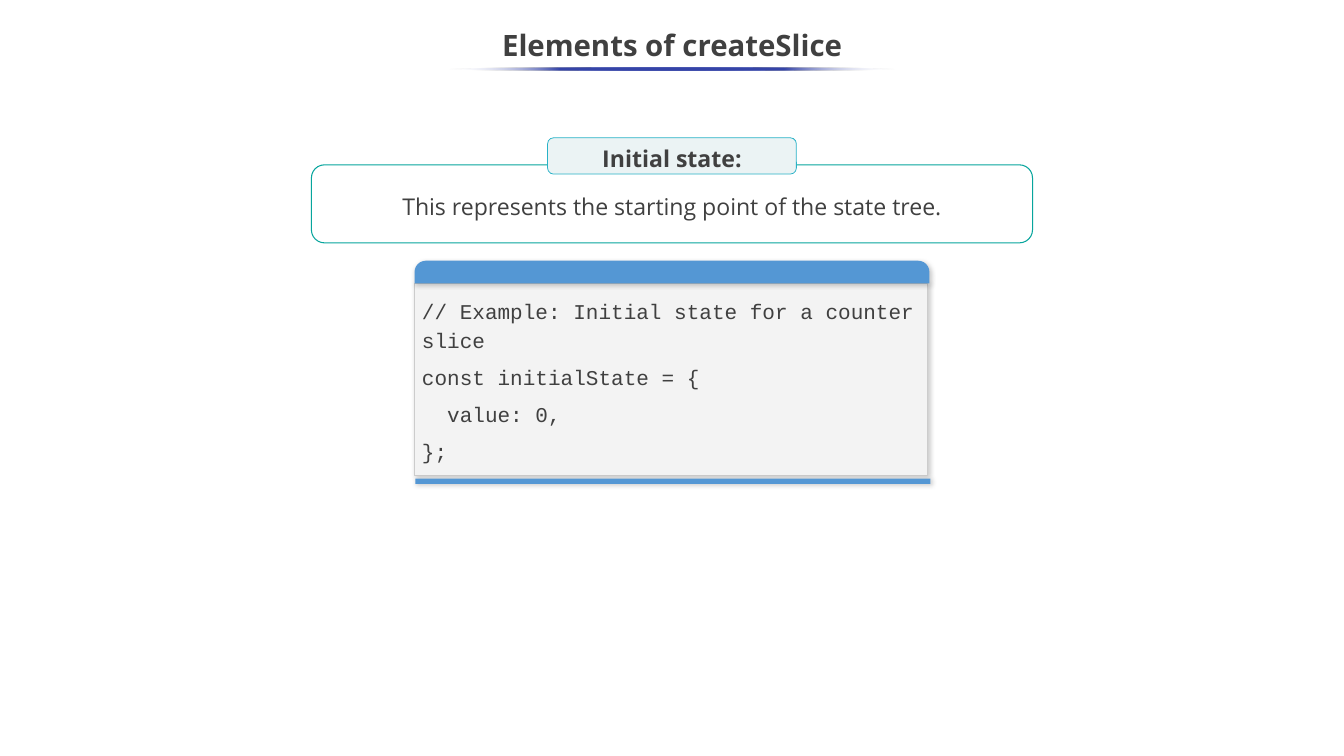
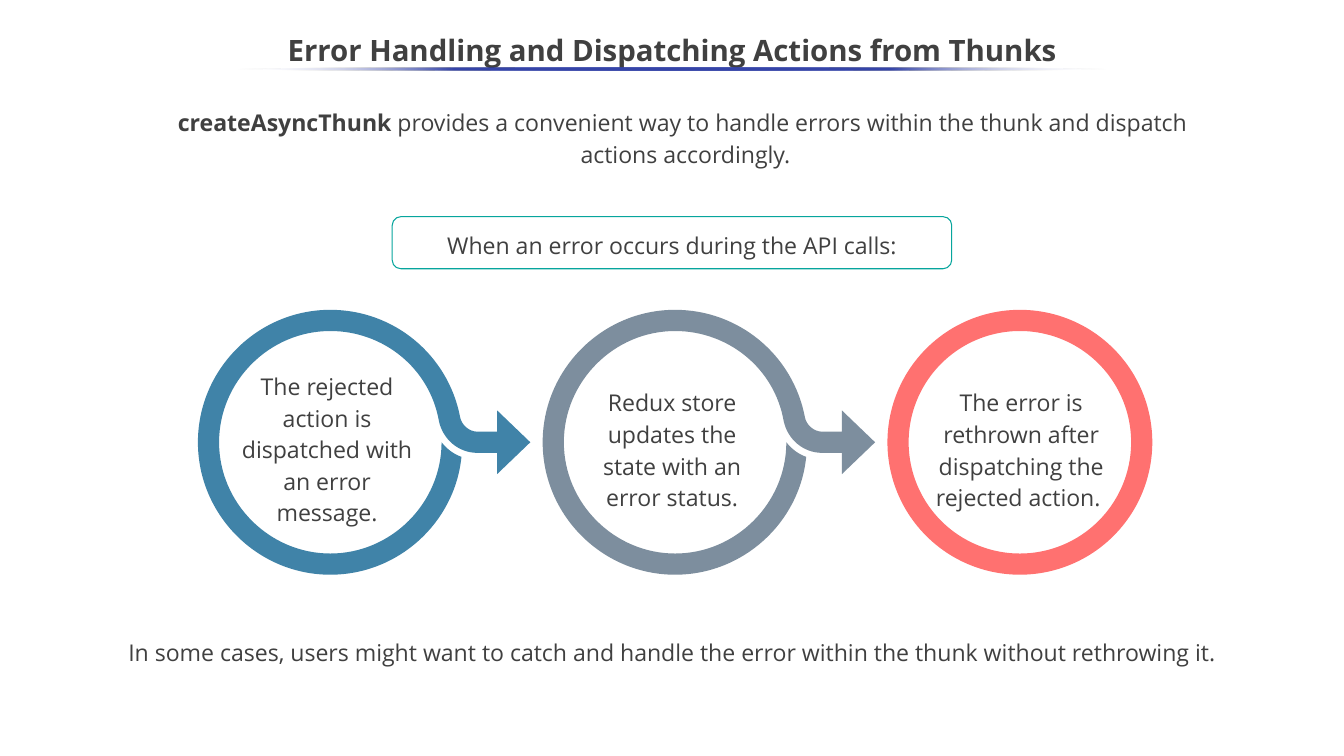
import collections
import dataclasses

import pptx
import pptx.dml.color
import pptx.enum.shapes
import pptx.enum.text
import pptx.oxml.ns
import pptx.util
from lxml import etree

Cm = pptx.util.Cm
Pt = pptx.util.Pt
Shape = pptx.enum.shapes.MSO_SHAPE
Anchor = pptx.enum.text.MSO_ANCHOR
Align = pptx.enum.text.PP_ALIGN
qn = pptx.oxml.ns.qn

Box = collections.namedtuple("Box", "left top width height")
Step = collections.namedtuple("Step", "text color inset width height spacing")

PAGE = Box(0, 0, 45.16, 25.4)
RING_ARROW = (
    ((1.51, 0),),
    ((1.26, -0.24),),
    ((1.26, -0.08),),
    ((1.11, -0.08),),
    ((1.05, -0.08), (0.99, -0.13), (0.98, -0.19)),
    ((0.89, -0.66), (0.48, -1), (0, -1)),
    ((-0.55, -1), (-1, -0.55), (-1, 0)),
    ((-1, 0.55), (-0.55, 1), (0, 1)),
    ((0.51, 1), (0.94, 0.61), (0.99, 0.11)),
    ((0.93, 0.09), (0.88, 0.05), (0.84, 0)),
    ((0.84, 0.46), (0.46, 0.84), (0, 0.84)),
    ((-0.46, 0.84), (-0.84, 0.46), (-0.84, 0)),
    ((-0.84, -0.46), (-0.46, -0.84), (0, -0.84)),
    ((0.4, -0.84), (0.75, -0.56), (0.82, -0.16)),
    ((0.85, -0.02), (0.97, 0.08), (1.11, 0.08)),
    ((1.26, 0.08),),
    ((1.26, 0.24),),
)


@dataclasses.dataclass(frozen=True)
class Theme:
    """Colours, fonts and type sizes shared by the slides."""

    ink: str = "404040"
    paper: str = "FFFFFF"
    rule: str = "3645A9"
    frame: str = "07A59D"
    tab_fill: str = "EBF3F4"
    tab_line: str = "28B2C7"
    code_fill: str = "F3F3F3"
    code_line: str = "CCCCCC"
    code_bar: str = "5497D4"
    shadow: str = "000000"
    steps: tuple = ("4083A8", "7D8E9E", "FF7170")
    font: str = "Open Sans"
    code_font: str = "Courier New"
    title_size: int = 28
    body_size: int = 22
    code_size: int = 20


THEME = Theme()


def rgb(color):
    """Turn a hex string into a colour."""
    return pptx.dml.color.RGBColor.from_string(color)


def centred(width, top, height):
    """Return a box centred across the page."""
    return Box((PAGE.width - width) / 2, top, width, height)


def write(shape, paras, size=THEME.body_size, font=THEME.font, bold=False,
          align=Align.CENTER, anchor=Anchor.MIDDLE, spacing=1.15, after=0, inset=0.13):
    """Fill a shape with paragraphs, each a string or a list of (text, bold) spans."""
    frame = shape.text_frame
    frame.word_wrap = True
    frame.vertical_anchor = anchor
    frame.margin_left = frame.margin_right = Cm(0.25)
    frame.margin_top = frame.margin_bottom = Cm(inset)
    for index, content in enumerate(paras):
        para = frame.paragraphs[0] if index == 0 else frame.add_paragraph()
        para.alignment = align
        para.line_spacing = spacing
        para.space_after = Pt(after)
        spans = [(content, bold)] if isinstance(content, str) else content
        for text, heavy in spans:
            span = para.add_run()
            span.text = text
            span.font.name = font
            span.font.size = Pt(size)
            span.font.bold = heavy
            span.font.color.rgb = rgb(THEME.ink)


def add_text(page, box, paras, **style):
    """Add a text box and write in it."""
    shape = page.shapes.add_textbox(*map(Cm, box))
    write(shape, paras, **style)


def paint(shape, fill, line=None, weight=1):
    """Set fill and line and drop the default shadow."""
    shape.shadow.inherit = False
    shape.fill.solid()
    shape.fill.fore_color.rgb = rgb(fill)
    if line:
        shape.line.color.rgb = rgb(line)
        shape.line.width = Pt(weight)
    else:
        shape.line.fill.background()


def add_block(parent, kind, box, fill, line=None, weight=1):
    """Add a painted preset shape."""
    shape = parent.shapes.add_shape(kind, *map(Cm, box))
    paint(shape, fill, line, weight)
    return shape


def add_color(parent, color, opacity):
    """Add a colour element with an opacity in percent."""
    node = etree.SubElement(parent, qn("a:srgbClr"), val=color)
    etree.SubElement(node, qn("a:alpha"), val=str(opacity * 1000))


def cast_shadow(shape):
    """Give a painted shape a soft outer shadow."""
    effects = shape._element.spPr.find(qn("a:effectLst"))
    outer = etree.SubElement(effects, qn("a:outerShdw"), blurRad=str(Pt(4.5)),
                             dist=str(Pt(1.5)), dir=str(47 * 60000))
    add_color(outer, THEME.shadow, 20)


def add_title(page, text, rule_width, **style):
    """Add the title and the fading rule under it."""
    add_text(page, centred(45.2, 0.64, 1.9), [text], size=THEME.title_size, bold=True, **style)
    rule = add_block(page, Shape.OVAL, centred(rule_width, 2.26, 0.1), THEME.rule)
    rule.fill.gradient()
    rule.fill.gradient_angle = 0
    stops = rule._element.spPr.find(".//" + qn("a:gsLst"))
    for stop in list(stops):
        stops.remove(stop)
    for place, color, opacity in ((0, THEME.paper, 0), (25, THEME.rule, 100),
                                  (75, THEME.rule, 100), (100, THEME.paper, 0)):
        stop = etree.SubElement(stops, qn("a:gs"), pos=str(place * 1000))
        add_color(stop, color, opacity)


def add_statement(page, box, text):
    """Add a sentence in a rounded frame."""
    frame = add_block(page, Shape.ROUNDED_RECTANGLE, box, THEME.paper, THEME.frame)
    write(frame, [text])


def add_tab(page, box, text):
    """Add the heading that sits on a frame's top edge."""
    tab = add_block(page, Shape.ROUNDED_RECTANGLE, box, THEME.tab_fill, THEME.tab_line, 0.75)
    write(tab, [text], bold=True, inset=0)


def add_code(page, box, lines):
    """Add a code window: header bar, panel and footer bar."""
    bar, foot, gap, nudge = 0.76, 0.18, 0.1, 0.03
    window = page.shapes.add_group_shape()
    panel_height = box.height - bar - gap - foot
    panel = add_block(window, Shape.RECTANGLE,
                      Box(box.left, box.top + bar, box.width - 0.05, panel_height),
                      THEME.code_fill, THEME.code_line, 0.75)
    write(panel, lines, size=THEME.code_size, font=THEME.code_font,
          align=Align.LEFT, spacing=1.14, after=8, inset=0.25)
    footer = add_block(window, Shape.RECTANGLE,
                       Box(box.left + nudge, box.top + box.height - foot, box.width, foot),
                       THEME.code_bar)
    header = add_block(window, Shape.ROUND_2_SAME_RECTANGLE,
                       Box(box.left, box.top, box.width, bar), THEME.code_bar)
    header.adjustments[0] = 0.5
    for part in (panel, footer, header):
        cast_shadow(part)


def add_outline(page, box, segments):
    """Draw segments of one point (line) or three (curve), in radii from the box centre."""
    radius = box.width / 2
    points = [(Cm(box.left + radius * (1 + x)), Cm(box.top + radius * (1 + y)))
              for segment in segments for x, y in segment]
    builder = page.shapes.build_freeform(*points[0])
    builder.add_line_segments(points[1:], close=True)
    shape = builder.convert_to_shape()
    lines = iter(shape._element.spPr.findall(".//" + qn("a:lnTo")))
    for segment in segments[1:]:
        steps = [next(lines) for _ in segment]
        if len(steps) == 3:
            bend = etree.Element(qn("a:cubicBezTo"))
            steps[0].addprevious(bend)
            for step in steps:
                bend.append(step[0])
                step.getparent().remove(step)
    return shape


def add_step(page, box, step, last):
    """Add one ring with its text; every ring but the last points onward."""
    if last:
        ring = add_block(page, Shape.DONUT, box, step.color)
        ring.adjustments[0] = 0.08
    else:
        paint(add_outline(page, box, RING_ARROW), step.color)
    top = box.top + 0.2 + (box.height - step.height) / 2
    add_text(page, Box(box.left + step.inset, top, step.width, step.height),
             [step.text], anchor=Anchor.TOP, spacing=step.spacing)


def add_steps(page, box, steps):
    """Spread the rings evenly across the box."""
    pitch = (box.width - box.height) / (len(steps) - 1)
    for index, step in enumerate(steps):
        ring = Box(box.left + index * pitch, box.top, box.height, box.height)
        add_step(page, ring, step, index == len(steps) - 1)


def build_initial_state(page):
    """Build the slide on the initial state."""
    add_title(page, "Elements of createSlice", 15, spacing=0.9)
    add_code(page, Box(13.93, 8.76, 17.3, 7.5), [
        "// Example: Initial state for a counter slice",
        "const initialState = {",
        "  value: 0,",
        "};",
    ])
    add_statement(page, centred(24.23, 5.54, 2.62),
                  "This represents the starting point of the state tree.")
    add_tab(page, centred(8.36, 4.63, 1.22), "Initial state:")


def build_error_handling(page):
    """Build the slide on errors in thunks."""
    add_statement(page, centred(18.8, 7.28, 1.75), "When an error occurs during the API calls:")
    add_title(page, "Error Handling and Dispatching Actions from Thunks", 29.26,
              spacing=1.14, after=8)
    add_text(page, Box(4.01, 3.52, 38.05, 1.04), [
        [("createAsyncThunk", True),
         (" provides a convenient way to handle errors within the thunk and dispatch ", False)],
        "actions accordingly.",
    ], anchor=Anchor.TOP, inset=0)
    blue, grey, red = THEME.steps
    add_steps(page, Box(6.65, 10.41, 32.07, 8.9), [
        Step("The rejected action is dispatched with an error message.",
             blue, 1.04, 6.6, 5.61, 1.14),
        Step("Redux store updates the state with an error status.",
             grey, 1.35, 6, 4.57, 1.15),
        Step("The error is rethrown after dispatching the rejected action. ",
             red, 1.04, 6.91, 4.57, 1.15),
    ])
    add_text(page, centred(38.05, 21.31, 1.04),
             ["In some cases, users might want to catch and handle the error "
              "within the thunk without rethrowing it."],
             anchor=Anchor.TOP, inset=0)


def main():
    """Build the deck and save it."""
    deck = pptx.Presentation()
    deck.slide_width, deck.slide_height = Cm(PAGE.width), Cm(PAGE.height)
    for build in (build_initial_state, build_error_handling):
        build(deck.slides.add_slide(deck.slide_layouts[6]))
    deck.save("out.pptx")


if __name__ == "__main__":
    main()
